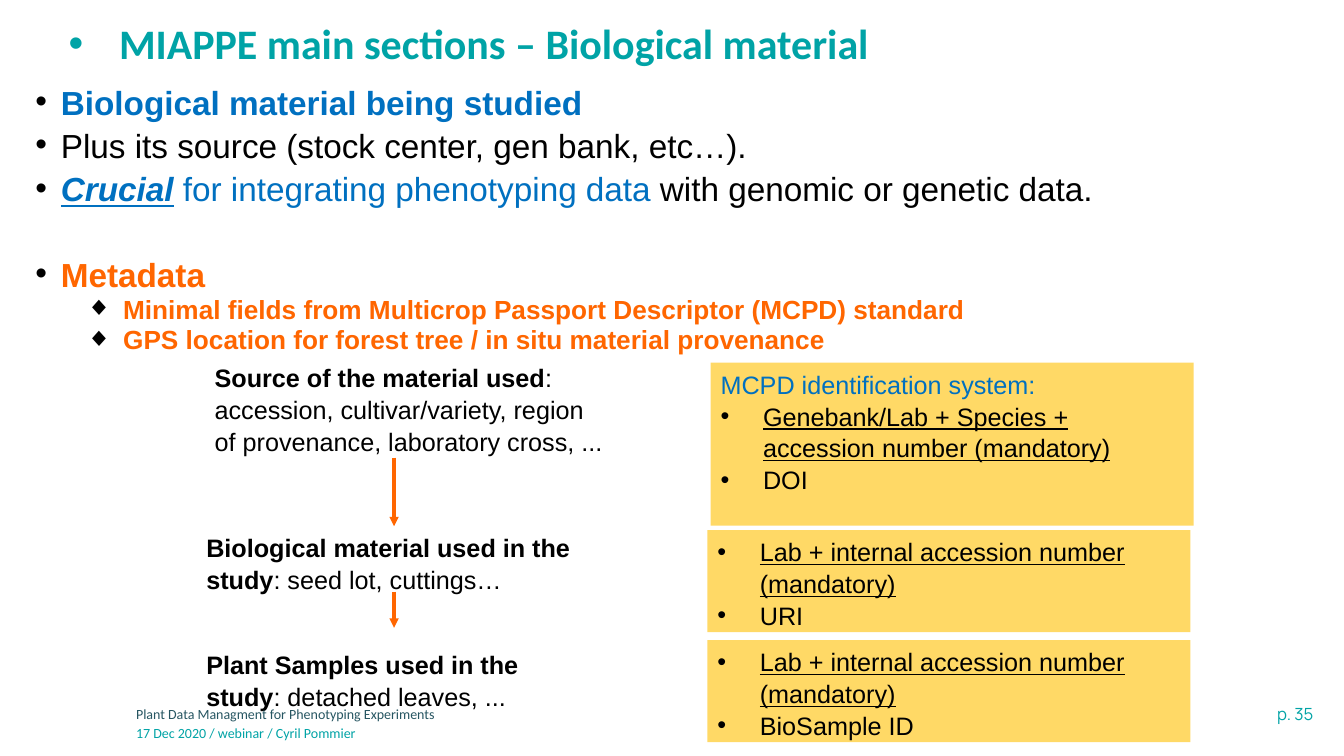
from lxml import etree
from pptx import Presentation
from pptx.dml.color import RGBColor
from pptx.enum.shapes import MSO_CONNECTOR as CONN, MSO_SHAPE as SHAPE
from pptx.enum.text import MSO_ANCHOR as ANCHOR, MSO_AUTO_SIZE as AUTO, PP_ALIGN as ALIGN
from pptx.oxml.ns import qn
from pptx.util import Cm, Pt

COLORS = {
    "teal": "00A3A6", "slate": "275662", "blue": "0070C0",
    "orange": "FF6600", "yellow": "FFD966", "black": "000000",
}
LABEL_SPACING = 1.05


def rgb(name):
    return RGBColor.from_string(COLORS[name])


def cm_box(box):
    return [Cm(v) for v in box]


def add_bullet(p, char, color, left, hang):
    """Give the paragraph a bullet with a hanging indent, both in cm."""
    pPr = p._p.get_or_add_pPr()
    pPr.set("marL", str(Cm(left)))
    pPr.set("indent", str(-Cm(hang)))
    clr = etree.SubElement(pPr, qn("a:buClr"))
    etree.SubElement(clr, qn("a:srgbClr"), val=COLORS[color])
    etree.SubElement(pPr, qn("a:buFont"), typeface="Arial")
    etree.SubElement(pPr, qn("a:buChar"), char=char)


def add_run(p, text, size, color="black", font="Arial", bold=False, italic=False, underline=False):
    r = p.add_run()
    r.text = text
    f = r.font
    f.name, f.size, f.bold, f.italic, f.underline = font, Pt(size), bold, italic, underline
    f.color.rgb = rgb(color)


def next_paragraph(tf, index):
    return tf.paragraphs[0] if index == 0 else tf.add_paragraph()


def place(sp, box):
    sp.left, sp.top, sp.width, sp.height = cm_box(box)
    sp.text_frame.auto_size = AUTO.NONE
    sp.text_frame.word_wrap = True


def add_textbox(slide, box):
    sp = slide.shapes.add_textbox(*cm_box(box))
    sp.text_frame.word_wrap = True
    return sp.text_frame.paragraphs[0]


def fill_title(sp, box, text):
    place(sp, box)
    tf = sp.text_frame
    tf.margin_left = 0
    tf.vertical_anchor = ANCHOR.MIDDLE
    p = tf.paragraphs[0]
    add_bullet(p, "•", "teal", 1.27, 1.27)
    p.alignment = ALIGN.LEFT
    p.line_spacing = 0.9
    add_run(p, text, 30, "teal", "Calibri", bold=True)


def fill_body(sp, box, items):
    """Each item is (level, space before in points, runs)."""
    place(sp, box)
    styles = [("•", 0.64, 0.64, 23.8), ("◆", 2.21, 0.94, 18.7)]
    for i, (level, before, runs) in enumerate(items):
        p = next_paragraph(sp.text_frame, i)
        p.level = level
        char, left, hang, size = styles[level]
        add_bullet(p, char, "black", left, hang)
        p.line_spacing = 0.7
        p.space_before = Pt(before)
        p.space_after = Pt(0)
        for text, fmt in runs:
            add_run(p, text, size, **fmt)


def add_stage(slide, box, name, examples):
    p = add_textbox(slide, box)
    p.line_spacing = LABEL_SPACING
    add_run(p, name, 18, bold=True)
    add_run(p, examples, 18)


def add_identifiers(slide, box, mandatory, other, heading=None):
    sp = slide.shapes.add_shape(SHAPE.RECTANGLE, *cm_box(box))
    sp.shadow.inherit = False
    sp.fill.solid()
    sp.fill.fore_color.rgb = rgb("yellow")
    sp.line.fill.background()
    tf = sp.text_frame
    tf.word_wrap = True
    tf.vertical_anchor = ANCHOR.TOP
    lines = [(mandatory, True, "black"), (other, False, "black")]
    if heading:
        lines.insert(0, (heading, False, "blue"))
    for i, (text, underline, color) in enumerate(lines):
        p = next_paragraph(tf, i)
        if text != heading:
            add_bullet(p, "•", "black", 1.07, 1.07)
        p.alignment = ALIGN.LEFT
        p.line_spacing = LABEL_SPACING
        add_run(p, text, 18, color, underline=underline)


def add_down_arrow(slide, x, top, bottom):
    cx = slide.shapes.add_connector(CONN.STRAIGHT, Cm(x), Cm(top), Cm(x), Cm(bottom))
    cx.line.color.rgb = rgb("orange")
    cx.line.width = Pt(2.25)
    etree.SubElement(cx.line._get_or_add_ln(), qn("a:tailEnd"), type="triangle")
    etree.SubElement(cx._element.spPr, qn("a:effectLst"))


def add_footer(slide, box, event, date, page):
    left, top, width, height = box
    for dy, text, color in ((0, event, "slate"), (0.49, date, "teal")):
        p = add_textbox(slide, (left, top + dy, 18.64, height))
        add_run(p, text, 10, color, "Calibri")
    page_width = 5.79
    p = add_textbox(slide, (left + width - page_width, top - 0.05, page_width, 0.76))
    p.alignment = ALIGN.RIGHT
    add_run(p, page, 12, "teal", "Manrope")


def add_workflow(slide, box):
    """Stages and their arrows on the left, identifiers on the right."""
    left, top, _, _ = box
    add_stage(slide, (left + 0.21, top, 10.41, 2.57), "Source of the material used",
              ": accession, cultivar/variety, region of provenance, laboratory cross, ...")
    add_stage(slide, (left, top + 4.29, 10.41, 1.73), "Biological material used in the study",
              ": seed lot, cuttings…")
    add_stage(slide, (left, top + 7.24, 10.41, 1.73), "Plant Samples used in the study",
              ": detached leaves, ...")
    for start, end in ((2.56, 4.29), (5.94, 6.85)):
        add_down_arrow(slide, left + 4.98, top + start, top + end)

    add_identifiers(slide, (left + 12.96, top + 0.17, 12.17, 4.11),
                    "Genebank/Lab + Species + accession number (mandatory)", "DOI",
                    "MCPD identification system:")
    for dy, other in ((4.39, "URI"), (7.16, "BioSample ID")):
        add_identifiers(slide, (left + 12.88, top + dy, 12.17, 2.57),
                        "Lab + internal accession number (mandatory)", other)


def main():
    prs = Presentation()
    prs.slide_width, prs.slide_height = Cm(33.87), Cm(19.05)
    slide = prs.slides.add_slide(prs.slide_layouts[1])
    blue = {"color": "blue"}
    strong_blue = {"color": "blue", "bold": True}
    strong_orange = {"color": "orange", "bold": True}

    fill_title(slide.shapes.title, (1.73, 0.08, 21.89, 2.13),
               "MIAPPE main sections – Biological material")
    fill_body(slide.placeholders[1], (0.64, 2.21, 32.59, 7.16), [
        (0, 0, [("Biological material being studied", strong_blue)]),
        (0, 11, [("Plus its source (stock center, gen bank, etc…).", {})]),
        (0, 11, [("Crucial", {**strong_blue, "italic": True, "underline": True}),
                 (" for integrating phenotyping data", blue),
                 (" with genomic or genetic data.", {})]),
        (0, 41, [("Metadata", strong_orange)]),
        (1, 6, [("Minimal fields from Multicrop Passport Descriptor (MCPD) standard",
                 strong_orange)]),
        (1, 6, [("GPS location for forest tree / in situ material provenance",
                 strong_orange)]),
    ])
    add_workflow(slide, (4.95, 8.97, 25.13, 9.73))
    add_footer(slide, (3.18, 17.65, 30.17, 0.71),
               "Plant Data Managment for Phenotyping Experiments",
               "17 Dec 2020 / webinar / Cyril Pommier", "p. 35")
    prs.save("out.pptx")


if __name__ == "__main__":
    main()
